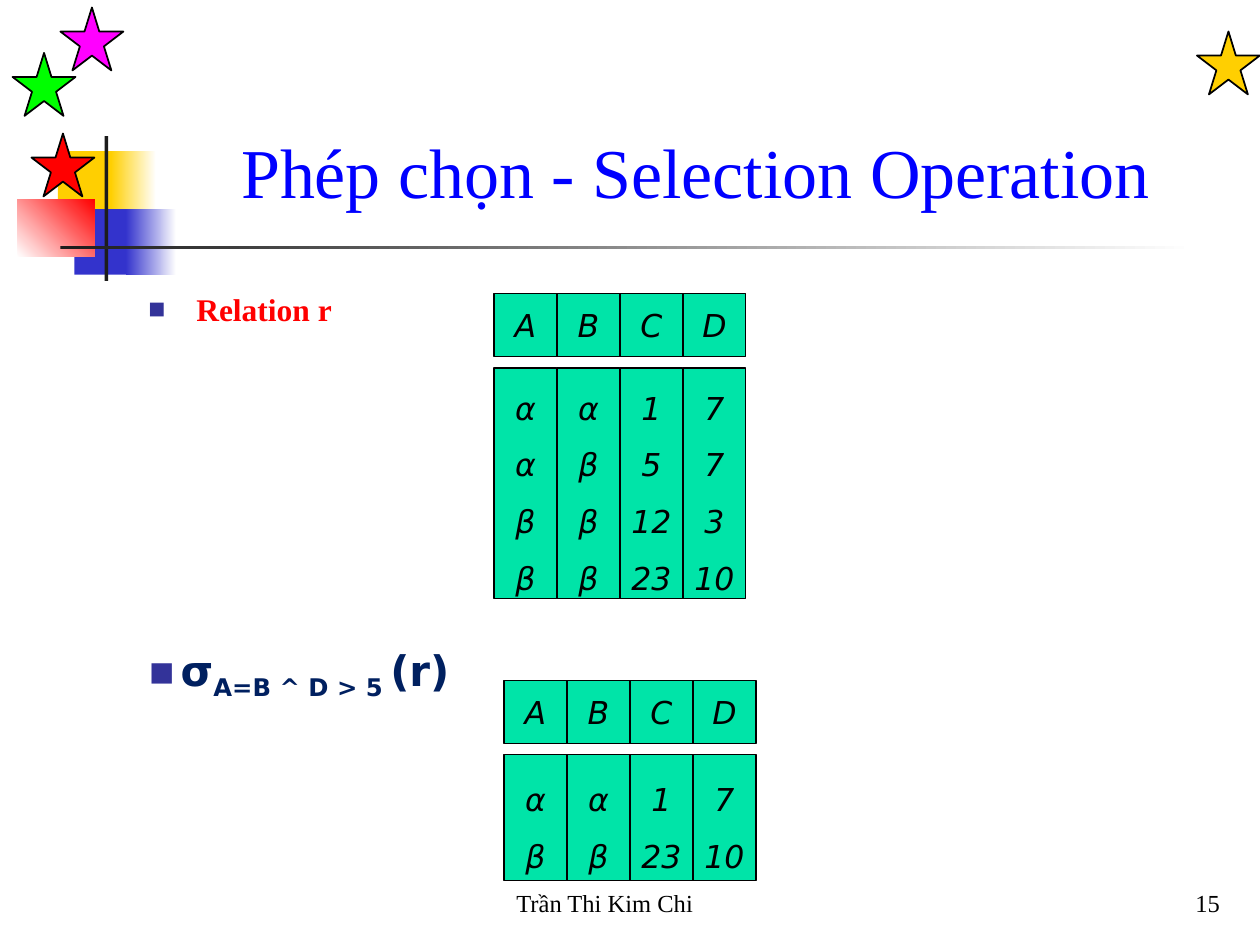
from lxml.etree import SubElement
from pptx import Presentation
from pptx.dml.color import RGBColor
from pptx.enum.shapes import MSO_SHAPE
from pptx.enum.text import MSO_ANCHOR, MSO_AUTO_SIZE, PP_ALIGN
from pptx.oxml.ns import qn
from pptx.util import Inches, Pt

SERIF, SANS = "Times New Roman", "DejaVu Sans"
COLORS = {
    "gold": "FFCF01", "blue": "3333CC", "red": "FF0000", "green": "00FF00",
    "magenta": "FF00FF", "white": "FFFFFF", "black": "000000",
    "charcoal": "1C1C1C", "cell": "00E4A8", "title": "0000FF",
    "formula": "002060", "bullet": "333399",
}

# Content
TITLE = "Phép chọn - Selection Operation"
RELATION_LABEL = "Relation r"
FORMULA = [  # text, size, baseline
    ("σ", 24, 0), ("A=B ^ D > 5", 24, -25000), (" ", 20, -25000), ("(r)", 24, 0),
]
ATTRIBUTES = ["A", "B", "C", "D"]
RELATIONS = [  # left, top, body height, rows
    (3.92, 2.33, 1.83, [("α", "α", "1", "7"), ("α", "β", "5", "7"),
                        ("β", "β", "12", "3"), ("β", "β", "23", "10")]),
    (4, 5.4, 1, [("α", "α", "1", "7"), ("β", "β", "23", "10")]),
]
FOOTERS = [  # text, left, width, alignment
    ("Trần Thi Kim Chi", 4, 3.17, PP_ALIGN.LEFT),
    ("15", 7.7, 2.08, PP_ALIGN.RIGHT),
]
BLOCKS = [  # box, colours (two make a gradient), gradient angle
    ((0.46, 1.2, 0.48, 0.52), ["gold"], 0),
    ((0.88, 1.2, 0.36, 0.52), ["gold", "white"], 0),
    ((0.59, 1.66, 0.46, 0.52), ["blue"], 0),
    ((1, 1.66, 0.4, 0.52), ["blue", "white"], 0),
    ((0.14, 1.58, 0.61, 0.46), ["white", "red"], 45),
    ((0.83, 1.08, 0.03, 1.15), ["charcoal"], 0),
    ((0.48, 1.95, 9, 0.03), ["charcoal", "white"], 0),
]
STARS = [(9.5, 0.25, "gold"), (0.25, 1.06, "red"),
         (0.1, 0.42, "green"), (0.48, 0.06, "magenta")]
CELL = 0.5
BODY_OFFSET = 0.59


def rgb(name):
    return RGBColor.from_string(COLORS[name])


def style(run, size, font, color, bold=False, italic=False):
    run.font.size, run.font.name = Pt(size), font
    run.font.bold, run.font.italic = bold, italic
    run.font.color.rgb = rgb(color)


def add_figure(kind, box, colors, angle=0, line=None):
    figure = slide.shapes.add_shape(kind, *map(Inches, box))
    figure.shadow.inherit = False
    if len(colors) == 1:
        figure.fill.solid()
        figure.fill.fore_color.rgb = rgb(colors[0])
    else:
        figure.fill.gradient()
        figure.fill.gradient_angle = angle
        for stop, color in zip(figure.fill.gradient_stops, colors):
            stop.color.rgb = rgb(color)
    if line:
        figure.line.color.rgb = rgb("black")
        figure.line.width = Pt(line)
    else:
        figure.line.fill.background()
    return figure


def add_cell(box, values, spacing):
    cell = add_figure(MSO_SHAPE.RECTANGLE, box, ["cell"], line=0.75)
    frame = cell.text_frame
    frame.text = "\n".join(values)
    frame.word_wrap = False
    frame.vertical_anchor = MSO_ANCHOR.MIDDLE
    for paragraph in frame.paragraphs:
        paragraph.alignment = PP_ALIGN.CENTER
        paragraph.line_spacing = spacing
        style(paragraph.runs[0], 18, SANS, "black", italic=True)


def add_text(box, anchor, wrap=True):
    frame = slide.shapes.add_textbox(*map(Inches, box)).text_frame
    frame.word_wrap = wrap
    frame.vertical_anchor = anchor
    return frame


def add_bullet(paragraph, indent, percent):
    props = paragraph._p.get_or_add_pPr()
    props.set("marL", str(Inches(indent)))
    props.set("indent", str(-Inches(indent)))
    color = SubElement(props, qn("a:buClr"))
    SubElement(color, qn("a:srgbClr"), val=COLORS["bullet"])
    SubElement(props, qn("a:buSzPct"), val=str(percent * 1000))
    SubElement(props, qn("a:buFont"), typeface=SERIF)
    SubElement(props, qn("a:buChar"), char="■")


prs = Presentation()
prs.slide_width, prs.slide_height = Inches(10), Inches(7.5)
slide = prs.slides.add_slide(prs.slide_layouts[5])

# Decoration
for box, colors, angle in BLOCKS:
    add_figure(MSO_SHAPE.RECTANGLE, box, colors, angle)
for left, top, color in STARS:
    add_figure(MSO_SHAPE.STAR_5_POINT, (left, top, 0.5, 0.5), [color], line=1)

# Title
title = slide.shapes.title
title.left, title.top = Inches(1.26), Inches(0.35)
title.width, title.height = Inches(8.52), Inches(1.39)
title.text_frame.text = TITLE
title.text_frame.auto_size = MSO_AUTO_SIZE.NONE
title.text_frame.vertical_anchor = MSO_ANCHOR.BOTTOM
title.text_frame.paragraphs[0].alignment = PP_ALIGN.CENTER
style(title.text_frame.paragraphs[0].runs[0], 40, SERIF, "title")

# Relation label
relation = add_text((1.08, 2.25, 2, 0.67), MSO_ANCHOR.TOP).paragraphs[0]
relation.text = RELATION_LABEL
add_bullet(relation, 0.38, 90)
style(relation.runs[0], 18, SERIF, "red", bold=True)

# Selection formula
formula_frame = add_text((0.97, 5.09, 2.81, 0.5), MSO_ANCHOR.MIDDLE, wrap=False)
formula_frame.auto_size = MSO_AUTO_SIZE.SHAPE_TO_FIT_TEXT
formula = formula_frame.paragraphs[0]
formula.alignment = PP_ALIGN.CENTER
add_bullet(formula, 0.25, 100)
for text, size, baseline in FORMULA:
    part = formula.add_run()
    part.text = text
    style(part, size, SANS, "formula", bold=True)
    if baseline:
        part._r.get_or_add_rPr().set("baseline", str(baseline))

# Relations: one header cell and one tall body cell per attribute
for left, top, body_height, rows in RELATIONS:
    for column, (attribute, values) in enumerate(zip(ATTRIBUTES, zip(*rows))):
        x = left + column * CELL
        add_cell((x, top, CELL, CELL), [attribute], 1.0)
        add_cell((x, top + BODY_OFFSET, CELL, body_height), values, 1.5)

# Footer
for text, left, width, alignment in FOOTERS:
    footer = add_text((left, 6.83, width, 0.5), MSO_ANCHOR.BOTTOM).paragraphs[0]
    footer.text = text
    footer.alignment = alignment
    style(footer.runs[0], 14, SERIF, "black")

prs.save("out.pptx")
